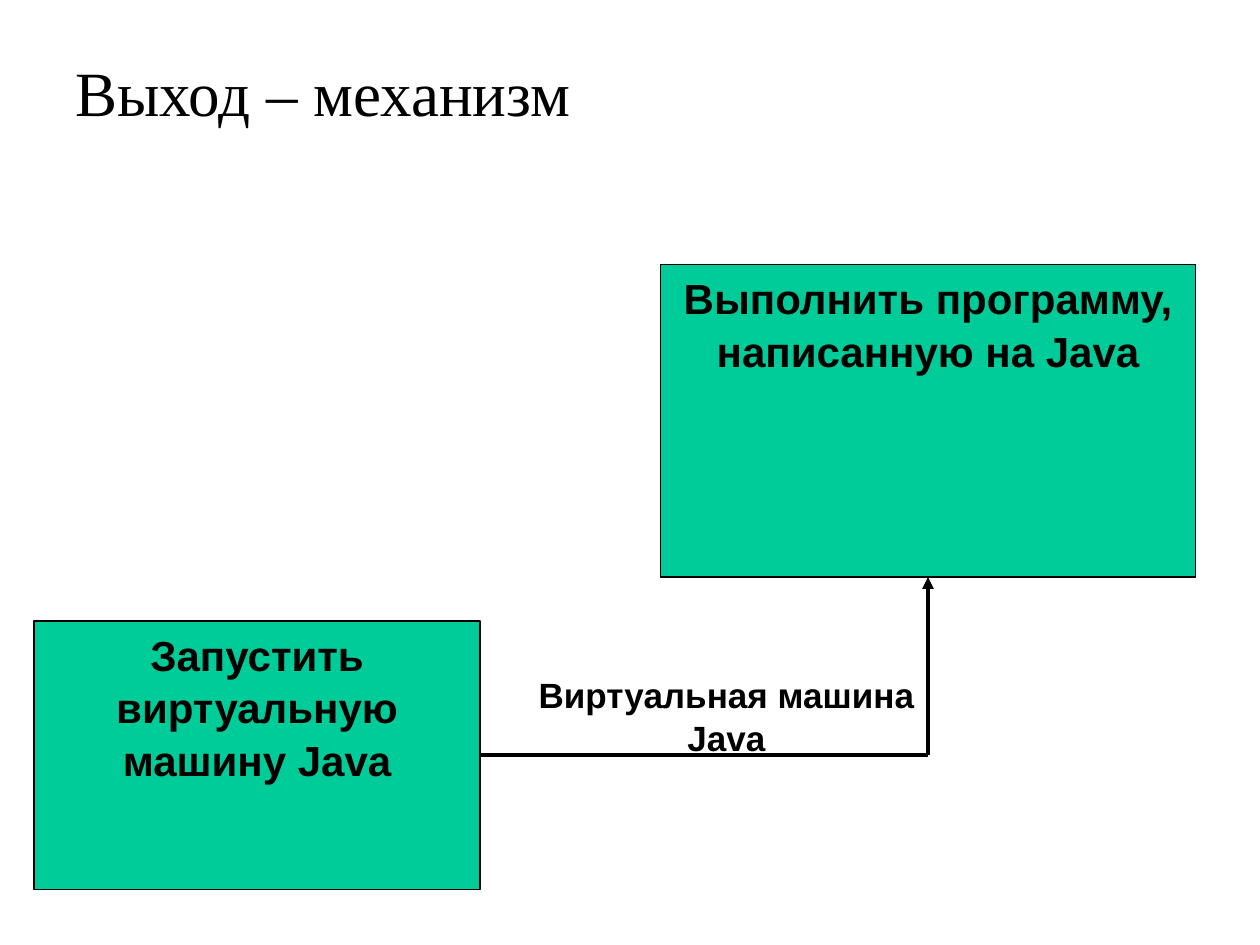
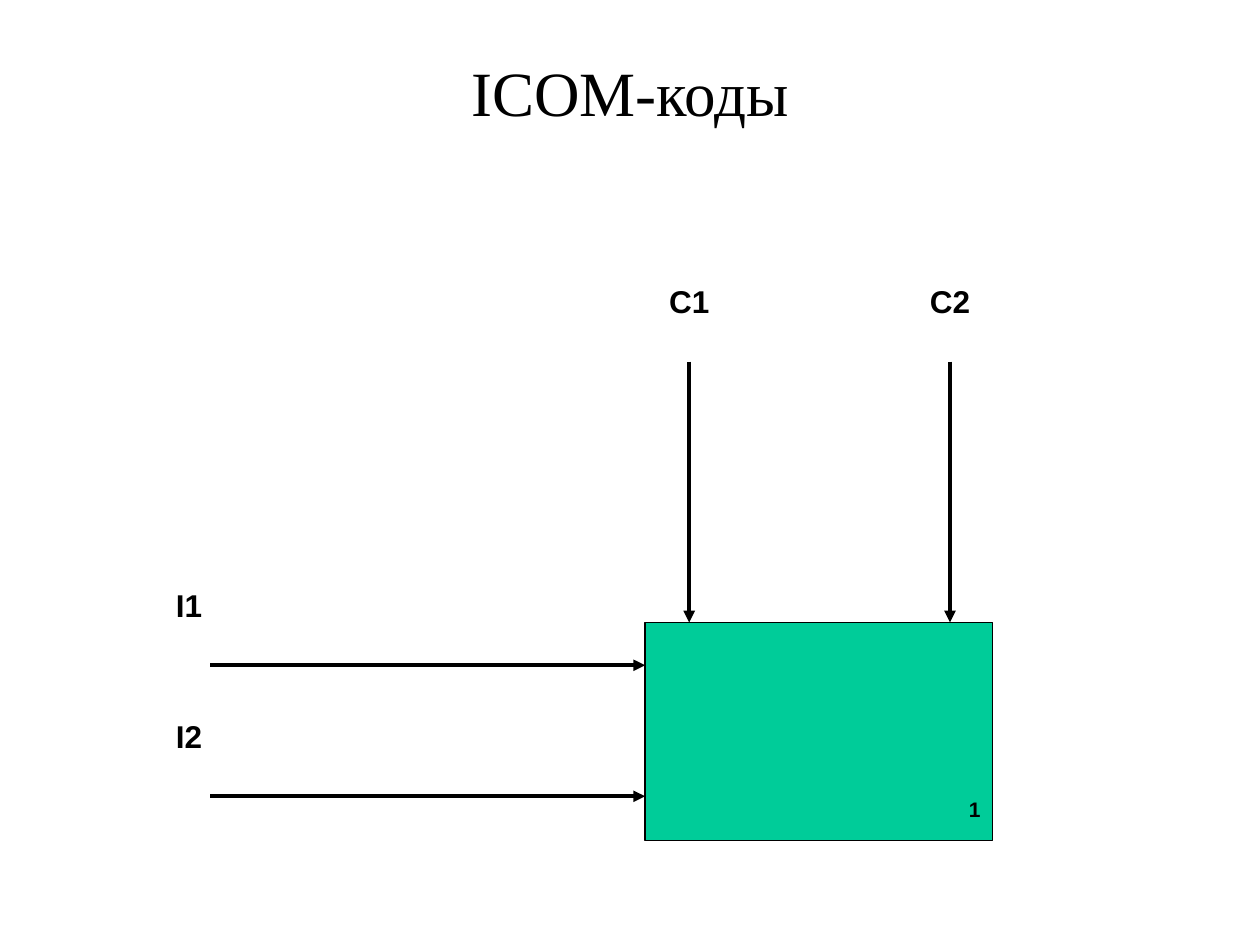
from dataclasses import dataclass

from lxml.etree import SubElement
from pptx import Presentation
from pptx.dml.color import RGBColor as RGB
from pptx.enum.shapes import MSO_CONNECTOR as LINK, MSO_SHAPE as SHAPE
from pptx.enum.text import MSO_ANCHOR as ANCHOR, PP_ALIGN as ALIGN
from pptx.oxml.ns import qn
from pptx.util import Inches, Pt


@dataclass(frozen=True)
class Theme:
    ink: RGB = RGB(0, 0, 0)
    green: RGB = RGB(0x00, 0xCC, 0x99)
    serif: str = "Times New Roman"
    sans: str = "Arial"
    title: int = 36
    task: int = 24
    flow: int = 20
    code: int = 18
    node: int = 12
    edge: float = 0.75
    arrow: float = 2.25
    space: float = 1.04


T = Theme()

# Boxes are left, top, width, height in inches.
EXIT = {
    "title": "Выход – механизм",
    "run": ("Запустить виртуальную машину Java", (0.27, 4.93, 3.54, 2.13)),
    "goal": ("Выполнить программу, написанную на Java", (5.24, 2.1, 4.25, 2.48)),
    "flow": ("Виртуальная машина Java", (4.17, 5.28, 3.19, 1.42)),
}
ICOM = {
    "title": "ICOM-коды",
    "node": ("1", (5.12, 4.94, 2.76, 1.73)),
    "inputs": [("I1", 5.28), ("I2", 6.32)],
    "controls": [("C1", 5.47), ("C2", 7.54)],
}
IN_LEFT, CTRL_TOP = 1.67, 2.87
CODE_RISE, CODE_HIGH = 0.69, 1.03
IN_MID, IN_WIDE, CTRL_WIDE = 1.5, 1.03, 1.38


def write(frame, text, size, align=ALIGN.CENTER, anchor=ANCHOR.TOP, face=T.sans):
    frame.word_wrap = True
    frame.vertical_anchor = anchor
    frame.text = text
    para = frame.paragraphs[0]
    para.alignment = align
    para.line_spacing = T.space
    font = para.font
    font.name, font.size, font.bold = face, Pt(size), face == T.sans
    font.color.rgb = T.ink


def start(deck, text, align):
    """Add a slide with its title."""
    slide = deck.slides.add_slide(deck.slide_layouts[5])
    head = slide.shapes.title
    head.left, head.top, head.width, head.height = map(Inches, (0.5, 0.3, 9, 1.24))
    write(head.text_frame, text, T.title, align, face=T.serif)
    head.text_frame.margin_top = Inches(0.1)
    return slide


def block(slide, item, size, **style):
    text, box = item
    rect = slide.shapes.add_shape(SHAPE.RECTANGLE, *map(Inches, box))
    rect.shadow.inherit = False
    rect.fill.solid()
    rect.fill.fore_color.rgb = T.green
    rect.line.color.rgb = T.ink
    rect.line.width = Pt(T.edge)
    write(rect.text_frame, text, size, **style)
    return rect


def label(slide, text, box, size):
    frame = slide.shapes.add_textbox(*map(Inches, box)).text_frame
    write(frame, text, size)
    frame.margin_left = frame.margin_right = 0


def link(slide, tail, tip, arrow=True):
    line = slide.shapes.add_connector(LINK.STRAIGHT, *map(Inches, tail + tip))
    line.line.color.rgb = T.ink
    line.line.width = Pt(T.arrow)
    if arrow:
        SubElement(line.line._get_or_add_ln(), qn("a:tailEnd"), type="triangle")
    SubElement(line._element.spPr, qn("a:effectLst"))
    return line


def draw_exit(deck):
    slide = start(deck, EXIT["title"], ALIGN.LEFT)
    run = block(slide, EXIT["run"], T.task)
    goal = block(slide, EXIT["goal"], T.task)
    left, top, wide, high = EXIT["run"][1]
    side = (left + wide, top + high / 2)
    left, top, wide, high = EXIT["goal"][1]
    base = (left + wide / 2, top + high)
    bend = (base[0], side[1])
    link(slide, bend, base).end_connect(goal, 2)
    label(slide, *EXIT["flow"], T.flow)
    link(slide, side, bend, arrow=False).begin_connect(run, 3)


def draw_icom(deck):
    slide = start(deck, ICOM["title"], ALIGN.CENTER)
    node = block(slide, ICOM["node"], T.node, align=ALIGN.RIGHT, anchor=ANCHOR.BOTTOM)
    node.text_frame.margin_bottom = Inches(0.15)
    left, top = ICOM["node"][1][:2]
    codes = []
    for text, y in ICOM["inputs"]:
        link(slide, (IN_LEFT, y), (left, y))
        codes.append((text, IN_MID, y, IN_WIDE))
    for text, x in ICOM["controls"]:
        link(slide, (x, CTRL_TOP), (x, top))
        codes.append((text, x, CTRL_TOP, CTRL_WIDE))
    for text, mid, y, wide in codes:
        box = (mid - wide / 2, y - CODE_RISE, wide, CODE_HIGH)
        label(slide, text, box, T.code)


def main():
    deck = Presentation()
    deck.slide_width, deck.slide_height = Inches(10), Inches(7.5)
    draw_exit(deck)
    draw_icom(deck)
    deck.save("out.pptx")


if __name__ == "__main__":
    main()
